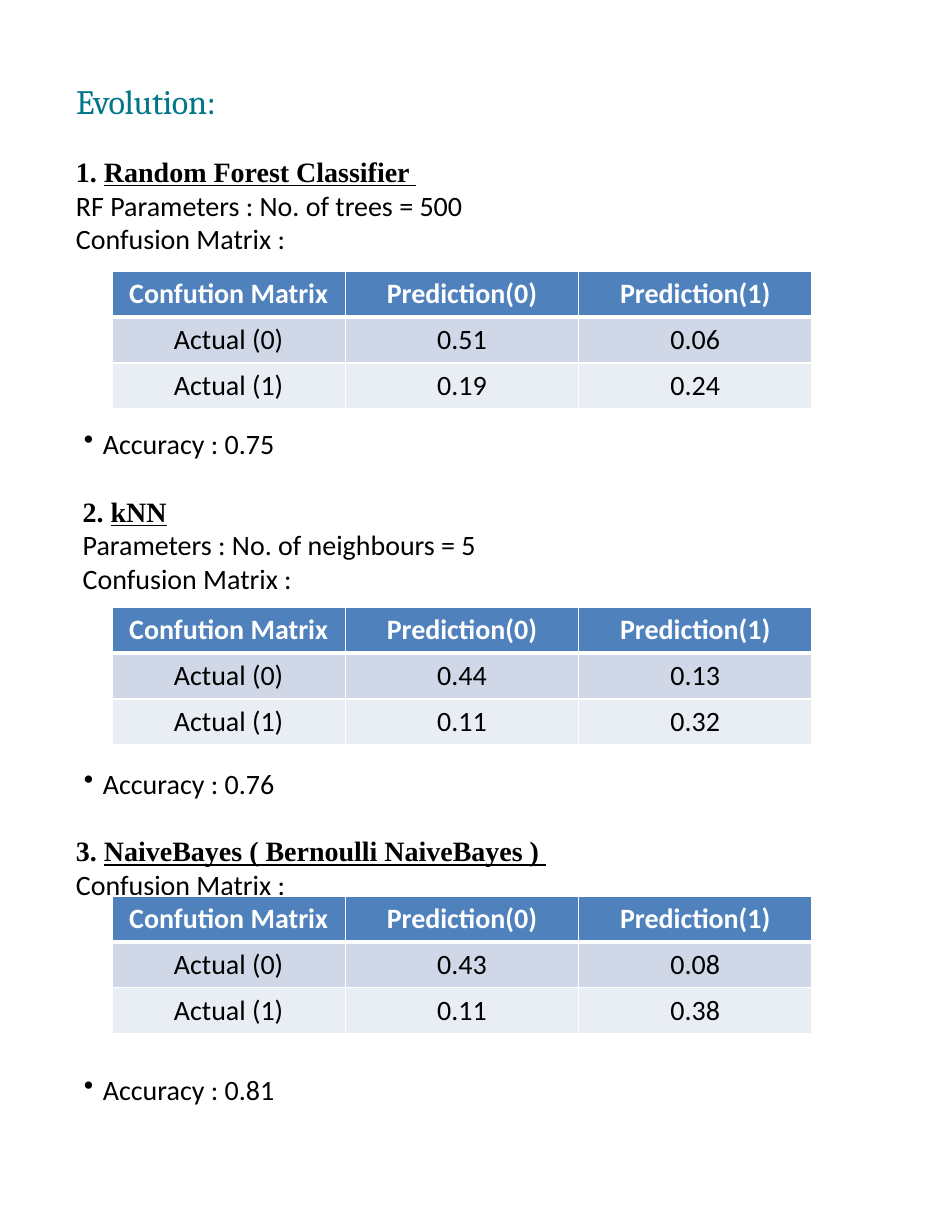
from dataclasses import dataclass

from lxml import etree
from pptx import Presentation
from pptx.dml.color import RGBColor
from pptx.enum.text import MSO_ANCHOR, MSO_AUTO_SIZE, PP_ALIGN
from pptx.oxml.ns import qn
from pptx.util import Inches, Pt

LEFT, CENTER = PP_ALIGN.LEFT, PP_ALIGN.CENTER
TOP = MSO_ANCHOR.TOP
NO_AUTOFIT = MSO_AUTO_SIZE.NONE


@dataclass(frozen=True)
class Theme:
    body_font: str = "Calibri"
    heading_font: str = "Times New Roman"
    title_font: str = "Cambria"
    title_size: float = 22
    body_size: float = 18
    title_color: str = "007788"
    text_color: str = "000000"
    header_text: str = "FFFFFF"
    header_fill: str = "4F81BD"
    row_fills: tuple = ("D0D8E8", "E9EDF4")
    border: str = "FFFFFF"
    line_pitch: float = 22


THEME = Theme()
TITLE = "Evolution:"
HEADER = ["Confution Matrix", "Prediction(0)", "Prediction(1)"]
SECTIONS = [
    {
        "heading": "Random Forest Classifier ",
        "lines": ["RF Parameters : No. of trees = 500", "Confusion Matrix :"],
        "matrix": [("0.51", "0.06"), ("0.19", "0.24")],
        "accuracy": "Accuracy : 0.75",
        "indent": 0,
        "table_top": 2.42,
    },
    {
        "heading": "kNN",
        "lines": ["Parameters : No. of neighbours = 5", "Confusion Matrix :"],
        "matrix": [("0.44", "0.13"), ("0.11", "0.32")],
        "accuracy": "Accuracy : 0.76",
        "indent": 0.06,
        "table_top": 5.42,
    },
    {
        "heading": "NaiveBayes ( Bernoulli NaiveBayes ) ",
        "lines": ["Confusion Matrix :"],
        "matrix": [("0.43", "0.08"), ("0.11", "0.38")],
        "accuracy": "Accuracy : 0.81",
        "indent": 0,
        "table_top": 8,
    },
]
TEXT_LEFT, TEXT_WIDTH = 0.58, 6.75
TITLE_TOP, BODY_TOP, BODY_BOTTOM = 0.67, 1.33, 9.86
TABLE_LEFT, TABLE_WIDTH, ROW_HEIGHT = 1, 6.25, 0.41
TABLE_GAP_LINES = 5
BULLET_MARGIN, BULLET_HANG = 0.24, 0.17


def style(span, font, size, color, bold=False, underline=False):
    span.font.name = font
    span.font.size = Pt(size)
    span.font.color.rgb = RGBColor.from_string(color)
    span.font.bold = bold
    span.font.underline = underline


def style_body(span, **options):
    style(span, THEME.body_font, THEME.body_size, THEME.text_color, **options)


def indent(para, margin, hang=0):
    properties = para._p.get_or_add_pPr()
    properties.set("marL", str(Inches(margin)))
    properties.set("indent", str(-Inches(hang)))
    return properties


def add_title(page):
    title = page.shapes.title
    title.left, title.top = Inches(TEXT_LEFT), Inches(TITLE_TOP)
    title.width, title.height = Inches(TEXT_WIDTH), Inches(0.46)
    frame = title.text_frame
    frame.text = TITLE
    frame.auto_size = NO_AUTOFIT
    frame.vertical_anchor = TOP
    para = frame.paragraphs[0]
    para.alignment = LEFT
    span = para.runs[0]
    style(span, THEME.title_font, THEME.title_size, THEME.title_color)
    span.font._element.set("spc", "-20")


def add_body(page):
    box = page.shapes.add_textbox(Inches(TEXT_LEFT), Inches(BODY_TOP),
                                  Inches(TEXT_WIDTH), Inches(BODY_BOTTOM - BODY_TOP))
    frame = box.text_frame
    frame.word_wrap = True
    for number, section in enumerate(SECTIONS, 1):
        para = frame.paragraphs[0] if number == 1 else frame.add_paragraph()
        para.space_before = Pt(THEME.line_pitch if number > 1 else 0)
        indent(para, section["indent"])
        for text, underline in ((f"{number}. ", False), (section["heading"], True)):
            span = para.add_run()
            span.text = text
            style(span, THEME.heading_font, THEME.body_size, THEME.text_color,
                  bold=True, underline=underline)
        for line in section["lines"]:
            para = frame.add_paragraph()
            para.text = line
            indent(para, section["indent"])
            style_body(para.runs[0])
        para = frame.add_paragraph()
        para.text = section["accuracy"]
        para.space_before = Pt(TABLE_GAP_LINES * THEME.line_pitch)
        properties = indent(para, BULLET_MARGIN, BULLET_HANG)
        etree.SubElement(properties, qn("a:buChar")).set("char", "•")
        style_body(para.runs[0])


def add_borders(cell, bottom_width):
    properties = cell._tc.get_or_add_tcPr()
    for side, width in (("L", 1), ("R", 1), ("T", 1), ("B", bottom_width)):
        line = etree.SubElement(properties, qn(f"a:ln{side}"), w=str(Pt(width)))
        fill = etree.SubElement(line, qn("a:solidFill"))
        etree.SubElement(fill, qn("a:srgbClr"), val=THEME.border)


def add_matrix(page, section):
    rows = [HEADER] + [[f"Actual ({i})", *values]
                       for i, values in enumerate(section["matrix"])]
    fills = (THEME.header_fill, *THEME.row_fills)
    table = page.shapes.add_table(
        len(rows), len(HEADER), Inches(TABLE_LEFT), Inches(section["table_top"]),
        Inches(TABLE_WIDTH), Inches(ROW_HEIGHT * len(rows))).table
    for r, (values, color) in enumerate(zip(rows, fills)):
        for c, value in enumerate(values):
            cell = table.cell(r, c)
            cell.text = value
            add_borders(cell, 3 if r == 0 else 1)
            cell.fill.solid()
            cell.fill.fore_color.rgb = RGBColor.from_string(color)
            para = cell.text_frame.paragraphs[0]
            para.alignment = CENTER
            style(para.runs[0], THEME.body_font, THEME.body_size,
                  THEME.header_text if r == 0 else THEME.text_color, bold=r == 0)


def main():
    deck = Presentation()
    deck.slide_width, deck.slide_height = Inches(8.5), Inches(11)
    page = deck.slides.add_slide(deck.slide_layouts[5])
    add_title(page)
    add_body(page)
    for section in SECTIONS:
        add_matrix(page, section)
    deck.save("out.pptx")


if __name__ == "__main__":
    main()
